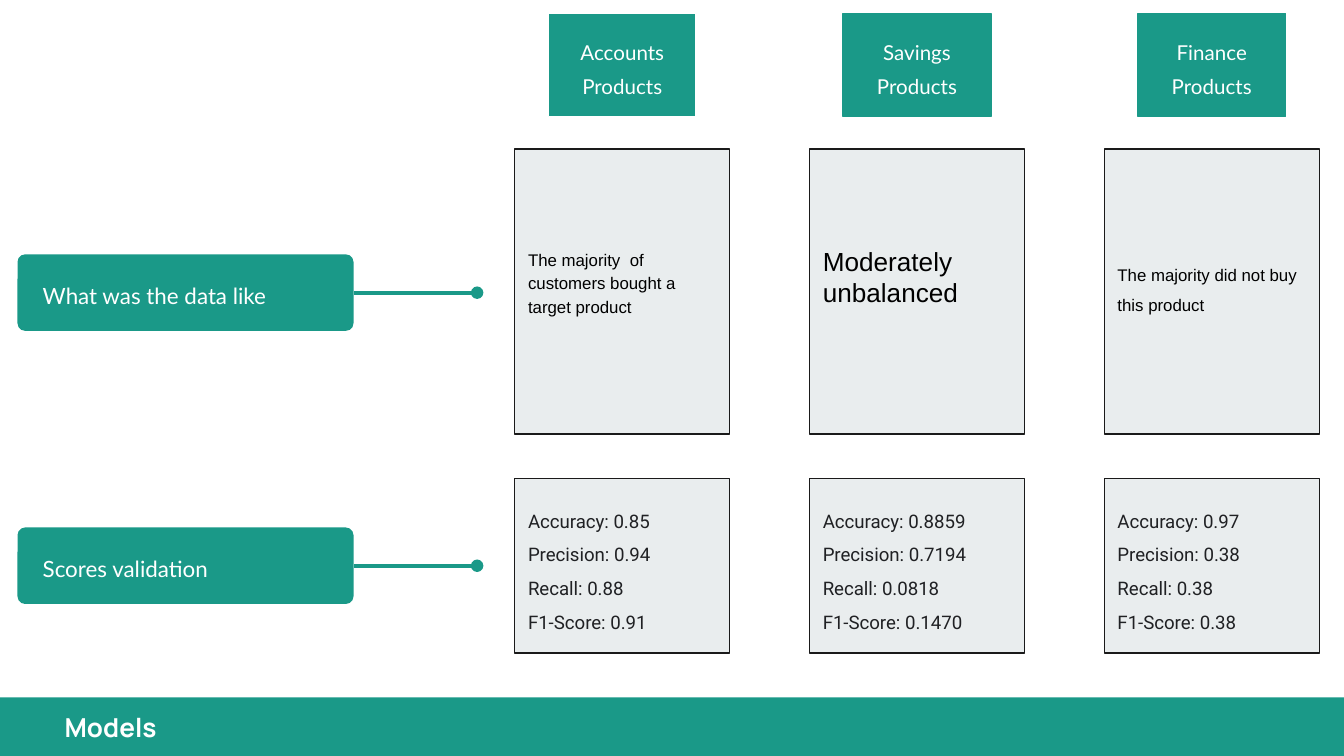
"""Build the slide that compares the three product models."""
from typing import NamedTuple

from lxml import etree
from pptx import Presentation, util as u
from pptx.dml.color import RGBColor
from pptx.enum import shapes, text
from pptx.oxml.ns import qn

COLOURS = {
    "teal": "1A9988",
    "white": "FFFFFF",
    "card": "E9EDEE",
    "border": "1A1A1A",
    "black": "000000",
    "score": "202124",
}
INSET = 7.2
CARD_WIDTH, HEADER_WIDTH = 115.2, 79.2
FIRST_COLUMN, COLUMN_STEP = 275.8, 157.9
LABEL_LEFT, LABEL_WIDTH, LABEL_HEIGHT = 9.4, 180, 41
POINTER_END = 255.6
METRICS = ("Accuracy", "Precision", "Recall", "F1-Score")


class Label(NamedTuple):
    caption: str
    top: float


class Product(NamedTuple):
    name: str
    header_line: str
    data: str
    data_size: float
    data_spacing: float | u.Length
    extra_bottom: float
    scores: tuple[str, ...]


LABELS = (Label("What was the data like", 136.3), Label("Scores validation", 282.6))
PRODUCTS = (
    Product("Accounts Products", "white",
            "The majority  of customers bought a target product",
            9, 1.15, 10.6, ("0.85", "0.94", "0.88", "0.91")),
    Product("Savings Products", "teal", "Moderately unbalanced",
            14, 1.0, 16.1, ("0.8859", "0.7194", "0.0818", "0.1470")),
    Product("Finance Products", "teal", "The majority did not buy this product",
            9, u.Pt(16), 7, ("0.97", "0.38", "0.38", "0.38")),
)


def colour(name: str) -> RGBColor:
    """Return a palette colour."""
    return RGBColor.from_string(COLOURS[name])


def write(shape, lines, *, font="Lato", size=12, ink="white", bold=False,
          align=text.PP_ALIGN.LEFT, anchor=text.MSO_ANCHOR.MIDDLE,
          spacing=1.0, before=0, after=0, extra_bottom=0) -> None:
    """Fill a shape with formatted paragraphs."""
    frame = shape.text_frame
    frame.text = "\n".join(lines)
    frame.word_wrap = True
    frame.auto_size = text.MSO_AUTO_SIZE.NONE
    frame.vertical_anchor = anchor
    frame.margin_left = frame.margin_right = frame.margin_top = u.Pt(INSET)
    frame.margin_bottom = u.Pt(INSET + extra_bottom)
    for paragraph in frame.paragraphs:
        paragraph.alignment = align
        paragraph.line_spacing = spacing
        paragraph.space_before, paragraph.space_after = u.Pt(before), u.Pt(after)
        for run in paragraph.runs:
            run.font.name, run.font.size, run.font.bold = font, u.Pt(size), bold
            run.font.color.rgb = colour(ink)


def add_box(slide, left: float, top: float, width: float, height: float,
            fill: str, line: str | None = None,
            kind=shapes.MSO_SHAPE.RECTANGLE):
    """Add a flat filled shape."""
    shape = slide.shapes.add_shape(kind, *map(u.Pt, (left, top, width, height)))
    shape.shadow.inherit = False
    shape.fill.solid()
    shape.fill.fore_color.rgb = colour(fill)
    if line:
        shape.line.color.rgb = colour(line)
        shape.line.width = u.Pt(0.75)
    else:
        shape.line.fill.background()
    return shape


def add_title(slide, caption: str) -> None:
    """Format the title over the footer band."""
    top, height = 373.7, 31.3
    title = slide.shapes.title
    title.left, title.top = u.Pt(27.4), u.Pt(top)
    title.width, title.height = u.Pt(179.3), u.Pt(height)
    write(title, [caption], font="Manrope", size=14, bold=True,
          anchor=text.MSO_ANCHOR.BOTTOM)
    band = add_box(slide, 0, top, 720, height, "teal")
    title.element.addprevious(band.element)


def add_label(slide, label: Label) -> None:
    """Add a row label with its round-ended pointer."""
    plate = add_box(slide, LABEL_LEFT, label.top, LABEL_WIDTH, LABEL_HEIGHT,
                    "teal", kind=shapes.MSO_SHAPE.ROUNDED_RECTANGLE)
    plate.adjustments[0] = 0.1
    caption = slide.shapes.add_textbox(
        *map(u.Pt, (LABEL_LEFT + 6.4, label.top + 5.5, 165, 31)))
    write(caption, [label.caption], spacing=1.15, after=10,
          anchor=text.MSO_ANCHOR.TOP)
    middle = u.Pt(label.top + LABEL_HEIGHT / 2)
    pointer = slide.shapes.add_connector(
        shapes.MSO_CONNECTOR.STRAIGHT, u.Pt(POINTER_END), middle,
        u.Pt(LABEL_LEFT + LABEL_WIDTH), middle)
    pointer.end_connect(plate, 3)
    pointer.line.color.rgb = colour("teal")
    pointer.line.width = u.Pt(2.25)
    etree.SubElement(pointer.line._get_or_add_ln(), qn("a:headEnd"), type="oval")
    etree.SubElement(pointer.element.spPr, qn("a:effectLst"))


def add_product(slide, product: Product, left: float) -> None:
    """Add one column: header, data card and score card."""
    header = add_box(slide, left + (CARD_WIDTH - HEADER_WIDTH) / 2, 7.2,
                     HEADER_WIDTH, 55.4, "teal", product.header_line)
    write(header, [product.name], size=11, align=text.PP_ALIGN.CENTER,
          spacing=1.36, before=15, after=15)
    data = add_box(slide, left, 79.9, CARD_WIDTH, 152.6, "card", "border")
    write(data, [product.data], font="Arial", size=product.data_size, ink="black",
          spacing=product.data_spacing, extra_bottom=product.extra_bottom)
    scores = add_box(slide, left, 256.3, CARD_WIDTH, 93.6, "card", "border")
    write(scores, [f"{metric}: {score}" for metric, score in zip(METRICS, product.scores)],
          font="Roboto", size=10, ink="score", spacing=1.5)


def main() -> None:
    """Build and save the presentation."""
    presentation = Presentation()
    presentation.slide_width, presentation.slide_height = u.Pt(720), u.Pt(405)
    slide = presentation.slides.add_slide(presentation.slide_layouts[5])
    add_title(slide, "Models")
    for label in LABELS:
        add_label(slide, label)
    for column, product in enumerate(PRODUCTS):
        add_product(slide, product, FIRST_COLUMN + column * COLUMN_STEP)
    presentation.save("out.pptx")


if __name__ == "__main__":
    main()
